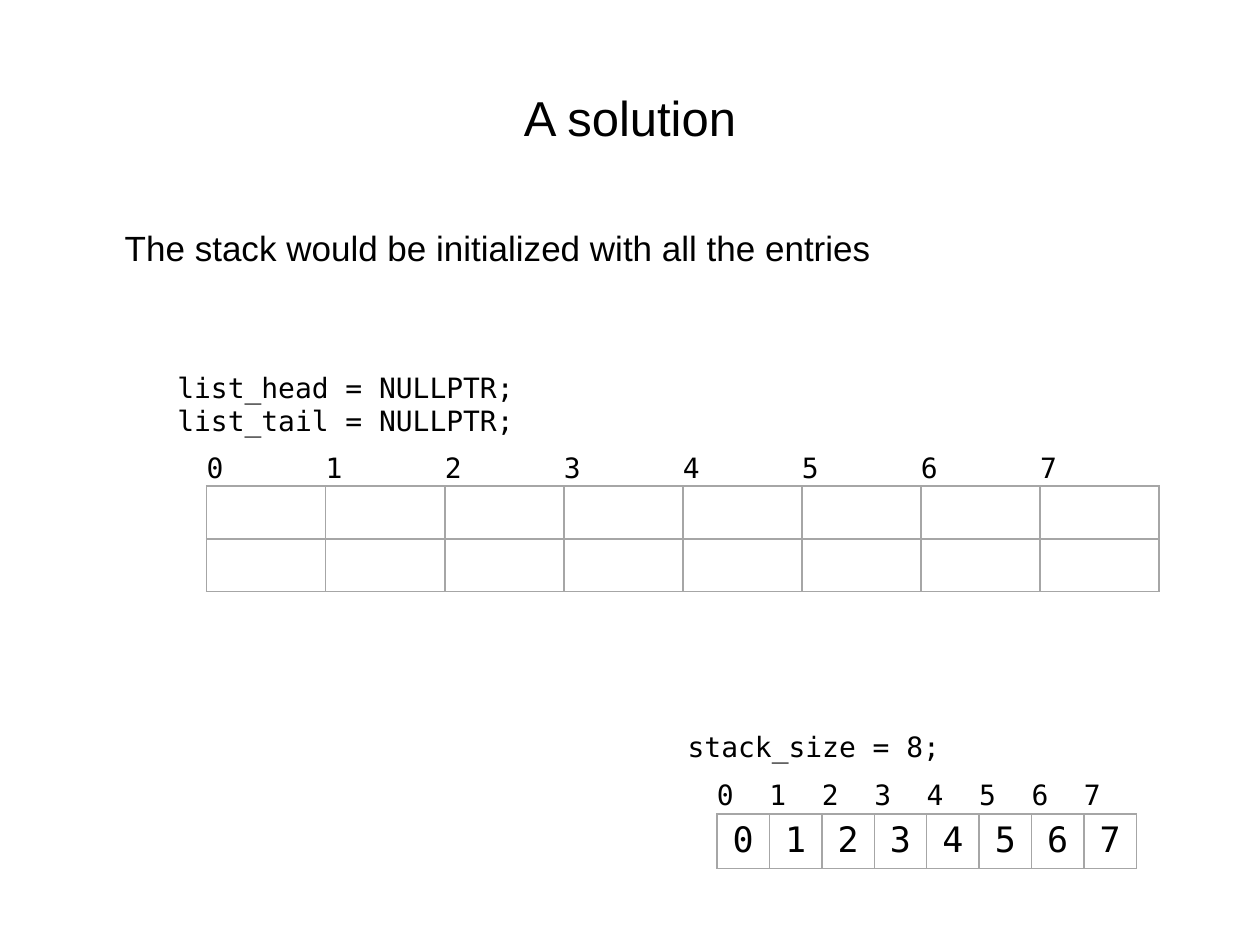
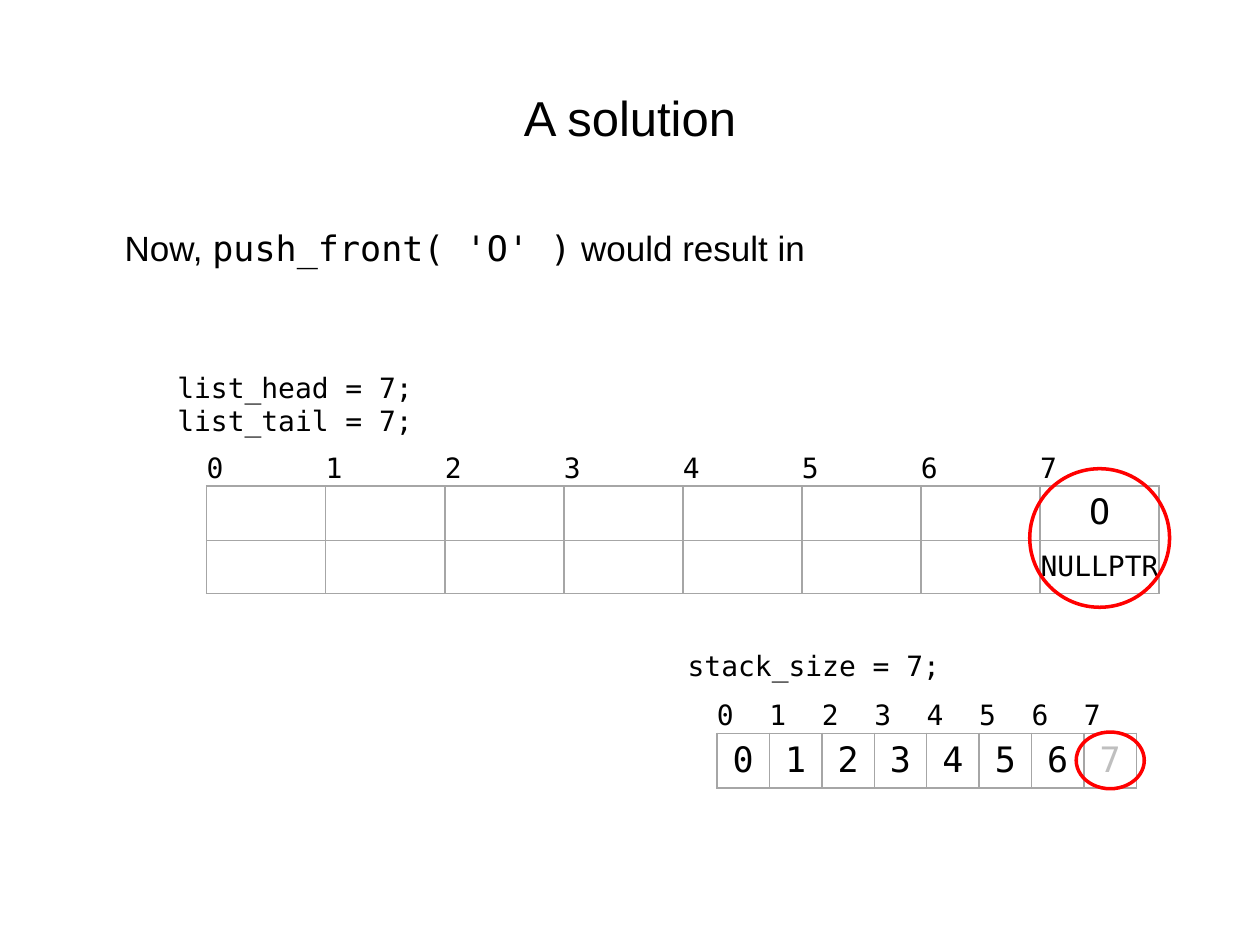
from dataclasses import dataclass

from lxml import etree
from pptx import Presentation
from pptx import util as u
from pptx.dml.color import RGBColor
from pptx.enum import shapes, text
from pptx.oxml import ns

Inches = u.Inches
CAPACITY = 8
LIST_LEFT, LIST_TOP, LIST_WIDTH = 1.64, 3.59, 7.56
STACK_LEFT, STACK_WIDTH = 5.69, 3.33
INDEX_ROW, LIST_ROW = 0.26, 0.42
STACK_INDEX_ROW, STACK_ROW = 0.27, 0.43
CODE_OUTDENT = 0.33


@dataclass(frozen=True)
class Theme:
    sans: str = "Arial"
    mono: str = "DejaVu Sans Mono"
    ink: str = "000000"
    faded: str = "BFBFBF"
    grid: str = "A6A6A6"
    highlight: str = "FF0000"
    title_size: int = 28
    body_size: int = 20
    code_size: int = 16
    grid_width: int = 1
    ring_width: int = 2


class SlideBuilder:
    def __init__(self, deck, theme):
        self.deck = deck
        self.theme = theme
        self.page = None

    def add_page(self, title):
        self.page = self.deck.slides.add_slide(self.deck.slide_layouts[5])
        box = self.page.shapes.title
        box.left, box.top = Inches(0.5), Inches(0.3)
        box.width, box.height = Inches(9), Inches(1.25)
        box.text_frame.vertical_anchor = text.MSO_ANCHOR.MIDDLE
        para = box.text_frame.paragraphs[0]
        para.alignment = text.PP_ALIGN.CENTER
        self.add_span(para, title, self.theme.sans, self.theme.title_size)

    def add_span(self, para, words, font, size, color=None):
        span = para.add_run()
        span.text = words
        span.font.name = font
        span.font.size = u.Pt(size)
        span.font.color.rgb = RGBColor.from_string(color or self.theme.ink)

    def add_text_box(self, left, top, width, height):
        box = self.page.shapes.add_textbox(
            Inches(left), Inches(top), Inches(width), Inches(height))
        box.text_frame.word_wrap = True
        return box.text_frame

    def add_statement(self, *pieces):
        """Write the body line from (words, font) pieces."""
        frame = self.add_text_box(0.5, 1.75, 9, 4.95)
        frame.margin_left = Inches(0.49)
        for words, font in pieces:
            self.add_span(frame.paragraphs[0], words, font, self.theme.body_size)

    def add_code(self, left, top, width, height, *lines):
        frame = self.add_text_box(left, top, width, height)
        for number, line in enumerate(lines):
            para = frame.add_paragraph() if number else frame.paragraphs[0]
            self.add_span(para, line, self.theme.mono, self.theme.code_size)

    def style_cell(self, cell, sides):
        """Clear the fill and rule the given sides (L, R, T, B)."""
        properties = cell._tc.get_or_add_tcPr()
        for side in sides:
            line = etree.SubElement(properties, ns.qn(f"a:ln{side}"),
                                    w=str(u.Pt(self.theme.grid_width)))
            fill = etree.SubElement(line, ns.qn("a:solidFill"))
            etree.SubElement(fill, ns.qn("a:srgbClr"), val=self.theme.grid)
        cell.fill.background()

    def fill_cell(self, cell, words, size, color=None, centered=True, tight=False):
        if tight:
            cell.margin_left = cell.margin_right = 0
            cell.margin_top = cell.margin_bottom = 0
        para = cell.text_frame.paragraphs[0]
        if centered:
            para.alignment = text.PP_ALIGN.CENTER
        self.add_span(para, words, self.theme.mono, size, color)

    def add_array(self, left, top, width, row_heights):
        """Add a ruled grid whose first row holds the indices."""
        frame = self.page.shapes.add_table(
            len(row_heights), CAPACITY, Inches(left), Inches(top),
            Inches(width), Inches(sum(row_heights)))
        table = frame.table
        table.first_row = table.horz_banding = False
        for column in table.columns:
            column.width = Inches(width / CAPACITY)
        for row, height in zip(table.rows, row_heights):
            row.height = Inches(height)
        for index in range(CAPACITY):
            for row in range(len(row_heights)):
                self.style_cell(table.cell(row, index), "LRTB" if row else "B")
            self.fill_cell(table.cell(0, index), str(index),
                           self.theme.code_size, centered=False, tight=True)
        return table

    def add_list(self, position, front=None):
        """Draw the linked list, with an optional (value, next) in the last node."""
        self.add_code(LIST_LEFT - CODE_OUTDENT, LIST_TOP - 0.7, 3.47, 0.64,
                      f"list_head = {position};", f"list_tail = {position};")
        table = self.add_array(LIST_LEFT, LIST_TOP, LIST_WIDTH,
                               [INDEX_ROW, LIST_ROW, LIST_ROW])
        if front:
            value, following = front
            last = CAPACITY - 1
            self.fill_cell(table.cell(1, last), value, self.theme.body_size)
            pointer = table.cell(2, last)
            pointer.vertical_anchor = text.MSO_ANCHOR.MIDDLE
            self.fill_cell(pointer, following, self.theme.code_size, tight=True)

    def add_stack(self, top, size):
        """Draw the stack of free nodes; entries past its size are faded."""
        self.add_code(STACK_LEFT - CODE_OUTDENT, top - 0.45, 2.39, 0.37,
                      f"stack_size = {size};")
        table = self.add_array(STACK_LEFT, top, STACK_WIDTH,
                               [STACK_INDEX_ROW, STACK_ROW])
        for index in range(CAPACITY):
            color = self.theme.ink if index < size else self.theme.faded
            self.fill_cell(table.cell(1, index), str(index),
                           self.theme.body_size, color)

    def add_ring(self, center_x, center_y, width, height):
        ring = self.page.shapes.add_shape(
            shapes.MSO_SHAPE.OVAL, Inches(center_x - width / 2),
            Inches(center_y - height / 2), Inches(width), Inches(height))
        ring.shadow.inherit = False
        ring.fill.background()
        ring.line.color.rgb = RGBColor.from_string(self.theme.highlight)
        ring.line.width = u.Pt(self.theme.ring_width)


def last_column_center(left, width):
    return left + width * (1 - 0.5 / CAPACITY)


def add_initial_state(builder):
    builder.add_page("A solution")
    builder.add_statement(
        ("The stack would be initialized with all the entries", builder.theme.sans))
    builder.add_list("NULLPTR")
    builder.add_stack(6.19, CAPACITY)


def add_push_front(builder):
    theme = builder.theme
    stack_top = 5.55
    builder.add_page("A solution")
    builder.add_statement(("Now, ", theme.sans), ("push_front( 'O' )", theme.mono),
                          (" would result in", theme.sans))
    builder.add_list("7", ("O", "NULLPTR"))
    builder.add_stack(stack_top, CAPACITY - 1)
    builder.add_ring(last_column_center(STACK_LEFT, STACK_WIDTH),
                     stack_top + STACK_INDEX_ROW + STACK_ROW / 2, 0.54, 0.45)
    builder.add_ring(last_column_center(LIST_LEFT, LIST_WIDTH),
                     LIST_TOP + INDEX_ROW + LIST_ROW, 1.11, 1.1)


def main():
    deck = Presentation()
    deck.slide_width, deck.slide_height = Inches(10), Inches(7.5)
    builder = SlideBuilder(deck, Theme())
    add_initial_state(builder)
    add_push_front(builder)
    deck.save("out.pptx")


if __name__ == "__main__":
    main()
